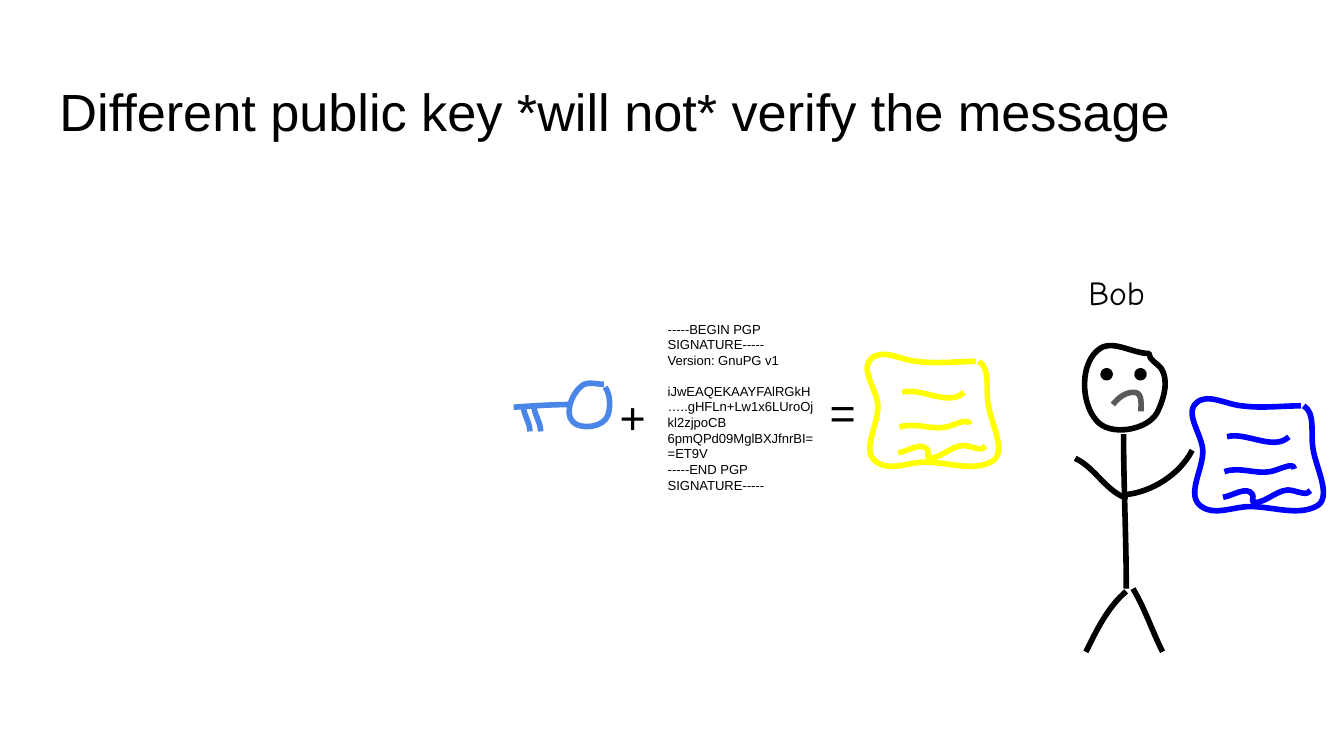
"""Build the slide on verifying a signed message with the wrong public key."""
import dataclasses
import typing

import lxml.etree
import pptx
import pptx.dml.color
import pptx.enum.shapes
import pptx.enum.text
import pptx.oxml.ns
import pptx.util

Cm = pptx.util.Cm
Anchor = pptx.enum.text.MSO_ANCHOR
Point = tuple[float, float]
Stroke = tuple[Point, ...]


@dataclasses.dataclass(frozen=True)
class Theme:
    ink: str = "000000"
    frown: str = "595959"
    key: str = "4A86E8"
    decoded_page: str = "FFFF00"
    held_page: str = "0000FF"
    body_font: str = "Arial"
    hand_font: str = "Comic Neue"
    title_size: float = 28
    operator_size: float = 24
    name_size: float = 18
    signature_size: float = 7
    signature_gap: float = 8.05
    stroke_width: float = 3


@dataclasses.dataclass(frozen=True)
class Sketch:
    left: float
    top: float
    color: str
    strokes: tuple[Stroke, ...]


@dataclasses.dataclass(frozen=True)
class Label:
    text: str
    left: float
    top: float
    width: float
    height: float
    size: float
    font: str = "Arial"


THEME = Theme()
SKETCH_UNIT = Cm(2.54) // 100
INSET = SKETCH_UNIT * 10
CURVE_STEPS = 24

PAGE: tuple[Stroke, ...] = (
    ((81, 6), (67, 6), (52, 8), (37, 6), (25, 5), (11, -4), (3, 4),
     (-6, 12), (8, 28), (8, 40), (8, 54), (-5, 73), (7, 81),
     (17, 88), (31, 81), (43, 81), (60, 81), (78, 88), (92, 81),
     (105, 75), (92, 52), (90, 38), (88, 27), (92, 11), (83, 6)),
    ((26, 29), (40, 25), (61, 40), (72, 29)),
    ((24, 55), (35, 51), (47, 57), (58, 55), (64, 54), (76, 47), (76, 53)),
    ((23, 74), (30, 73), (41, 65), (45, 72), (46, 73), (44, 78), (46, 78),
     (56, 78), (65, 66), (75, 69), (79, 70), (86, 73), (88, 69)),
)
KEY: tuple[Stroke, ...] = (
    ((67, 1), (62, 1), (57, -1), (52, 1), (44, 6), (37, 22), (44, 29),
     (50, 35), (67, 33), (70, 24), (72, 18), (72, 9), (68, 3)),
    ((0, 18), (14, 17), (29, 16), (43, 16)),
    *(((x + 5, 36), (x + 5, 29), (x, 23), (x, 17)) for x in (15, 7)),
)
BOB: tuple[Stroke, ...] = (
    ((55, 6), (43, 6), (29, -4), (19, 2), (3, 12), (4, 43), (16, 56),
     (26, 68), (54, 63), (61, 50), (66, 40), (70, 26), (64, 17),
     (61, 13), (55, 11), (55, 6)),
    ((38, 181), (38, 143), (36, 104), (36, 66)),
    ((38, 183), (24, 195), (16, 212), (8, 228)),
    ((43, 181), (52, 196), (57, 212), (65, 228)),
    ((39, 114), (23, 109), (15, 91), (0, 84)),
    ((38, 111), (57, 109), (78, 96), (87, 78)),
)
FROWN: tuple[Stroke, ...] = (
    ((28, 44), (32, 39), (38, 34), (45, 35), (50, 36), (49, 44), (49, 49)),
)
SIGNATURE_HEADER = ("-----BEGIN PGP SIGNATURE-----", "Version: GnuPG v1")
SIGNATURE_BODY = (
    "iJwEAQEKAAYFAlRGkH…..gHFLn+Lw1x6LUroOjkl2zjpoCB",
    "6pmQPd09MglBXJfnrBI=",
    "=ET9V",
    "-----END PGP SIGNATURE-----",
)


def rgb(color: str) -> pptx.dml.color.RGBColor:
    """Return the colour for a hex string."""
    return pptx.dml.color.RGBColor.from_string(color)


def write(paragraph: typing.Any, text: str, *, size: float, font: str = THEME.body_font,
          color: str = THEME.ink, space_before: float = 0) -> None:
    """Write one formatted, left-aligned run into a paragraph."""
    paragraph.alignment = pptx.enum.text.PP_ALIGN.LEFT
    paragraph.space_before = pptx.util.Pt(space_before)
    run = paragraph.add_run()
    run.text = text
    run.font.size = pptx.util.Pt(size)
    run.font.name = font
    run.font.color.rgb = rgb(color)


def prepare_frame(frame: typing.Any, anchor: Anchor = Anchor.TOP) -> None:
    """Set wrapping, insets and anchoring of a text frame."""
    frame.word_wrap = True
    frame.auto_size = pptx.enum.text.MSO_AUTO_SIZE.NONE
    frame.vertical_anchor = anchor
    frame.margin_left = frame.margin_right = INSET
    frame.margin_top = frame.margin_bottom = INSET


def outline(shape: typing.Any, color: str) -> None:
    """Give a shape the pen stroke and no shadow."""
    shape.shadow.inherit = False
    shape.line.color.rgb = rgb(color)
    shape.line.width = pptx.util.Pt(THEME.stroke_width)


def extent(stroke: Stroke, axis: int) -> tuple[int, int]:
    """Return the least and greatest coordinate that the curves reach on an axis."""
    reached: list[float] = []
    for first in range(0, len(stroke) - 1, 3):
        a, b, c, d = (point[axis] for point in stroke[first:first + 4])
        for t in (step / CURVE_STEPS for step in range(CURVE_STEPS + 1)):
            u = 1 - t
            reached.append(u ** 3 * a + 3 * u * u * t * b + 3 * u * t * t * c + t ** 3 * d)
    return round(min(reached)), round(max(reached))


def draw_stroke(slide: typing.Any, stroke: Stroke, color: str) -> None:
    """Draw chained cubic curves as one open freeform."""
    (left, right), (top, bottom) = extent(stroke, 0), extent(stroke, 1)
    builder = slide.shapes.build_freeform(*stroke[0])
    builder.add_line_segments(stroke[3::3], close=False)
    curve = builder.convert_to_shape()
    curve.left, curve.top, curve.width, curve.height = left, top, right - left, bottom - top
    qn = pptx.oxml.ns.qn
    geometry = curve.element.find(".//" + qn("a:path"))
    geometry.clear()
    geometry.set("w", str(right - left))
    geometry.set("h", str(bottom - top))
    pieces = [("a:moveTo", stroke[:1])]
    pieces += [("a:cubicBezTo", stroke[i:i + 3]) for i in range(1, len(stroke), 3)]
    for tag, points in pieces:
        piece = lxml.etree.SubElement(geometry, qn(tag))
        for x, y in points:
            lxml.etree.SubElement(piece, qn("a:pt"), x=str(x - left), y=str(y - top))
    curve.fill.background()
    outline(curve, color)


def draw_sketch(slide: typing.Any, sketch: Sketch) -> None:
    """Draw every stroke of a sketch at its place."""
    for stroke in sketch.strokes:
        placed = tuple((Cm(sketch.left) + x * SKETCH_UNIT, Cm(sketch.top) + y * SKETCH_UNIT)
                       for x, y in stroke)
        draw_stroke(slide, placed, sketch.color)


def draw_eye(slide: typing.Any, left: float) -> None:
    """Draw one of Bob's eyes."""
    eye = slide.shapes.add_shape(
        pptx.enum.shapes.MSO_SHAPE.OVAL, Cm(left), Cm(7.01), Cm(0.13), Cm(0.13))
    eye.fill.solid()
    eye.fill.fore_color.rgb = rgb(THEME.ink)
    outline(eye, THEME.ink)


def draw_label(slide: typing.Any, label: Label) -> None:
    """Draw a single-line label."""
    frame = slide.shapes.add_textbox(
        Cm(label.left), Cm(label.top), Cm(label.width), Cm(label.height)).text_frame
    prepare_frame(frame)
    write(frame.paragraphs[0], label.text, size=label.size, font=label.font)


def draw_signature(slide: typing.Any) -> None:
    """Draw the signature block with a gap below its header."""
    frame = slide.shapes.add_textbox(Cm(12.37), Cm(6.3), Cm(3.3), Cm(3.07)).text_frame
    prepare_frame(frame, Anchor.MIDDLE)
    frame.margin_bottom = Cm(0.54)
    for index, text in enumerate(SIGNATURE_HEADER + SIGNATURE_BODY):
        paragraph = frame.add_paragraph() if index else frame.paragraphs[0]
        gap = THEME.signature_gap if index == len(SIGNATURE_HEADER) else 0
        write(paragraph, text, size=THEME.signature_size, space_before=gap)


def draw_title(slide: typing.Any, text: str) -> None:
    """Place and fill the title placeholder."""
    title = slide.shapes.title
    title.left, title.top, title.width, title.height = Cm(0.87), Cm(1.24), Cm(23.67), Cm(1.6)
    prepare_frame(title.text_frame)
    write(title.text_frame.paragraphs[0], text, size=THEME.title_size)


def main() -> None:
    """Build and save the presentation."""
    deck = pptx.Presentation()
    deck.slide_width, deck.slide_height = Cm(25.4), Cm(14.29)
    slide = deck.slides.add_slide(deck.slide_layouts[5])
    draw_title(slide, "Different public key *will not* verify the message")
    draw_sketch(slide, Sketch(20.32, 6.53, THEME.ink, BOB))
    for left in (20.85, 21.49):
        draw_eye(slide, left)
    draw_label(slide, Label("Bob", 20.32, 4.89, 3.3, 1.14, THEME.name_size, THEME.hand_font))
    draw_sketch(slide, Sketch(22.53, 7.52, THEME.held_page, PAGE))
    draw_label(slide, Label("=", 15.43, 7.04, 2.51, 0.48, THEME.operator_size))
    draw_signature(slide)
    draw_label(slide, Label("+", 11.46, 7.12, 1.17, 0.48, THEME.operator_size))
    draw_sketch(slide, Sketch(9.71, 7.24, THEME.key, KEY))
    draw_sketch(slide, Sketch(16.39, 6.68, THEME.decoded_page, PAGE))
    draw_sketch(slide, Sketch(20.32, 6.53, THEME.frown, FROWN))
    deck.save("out.pptx")


if __name__ == "__main__":
    main()
